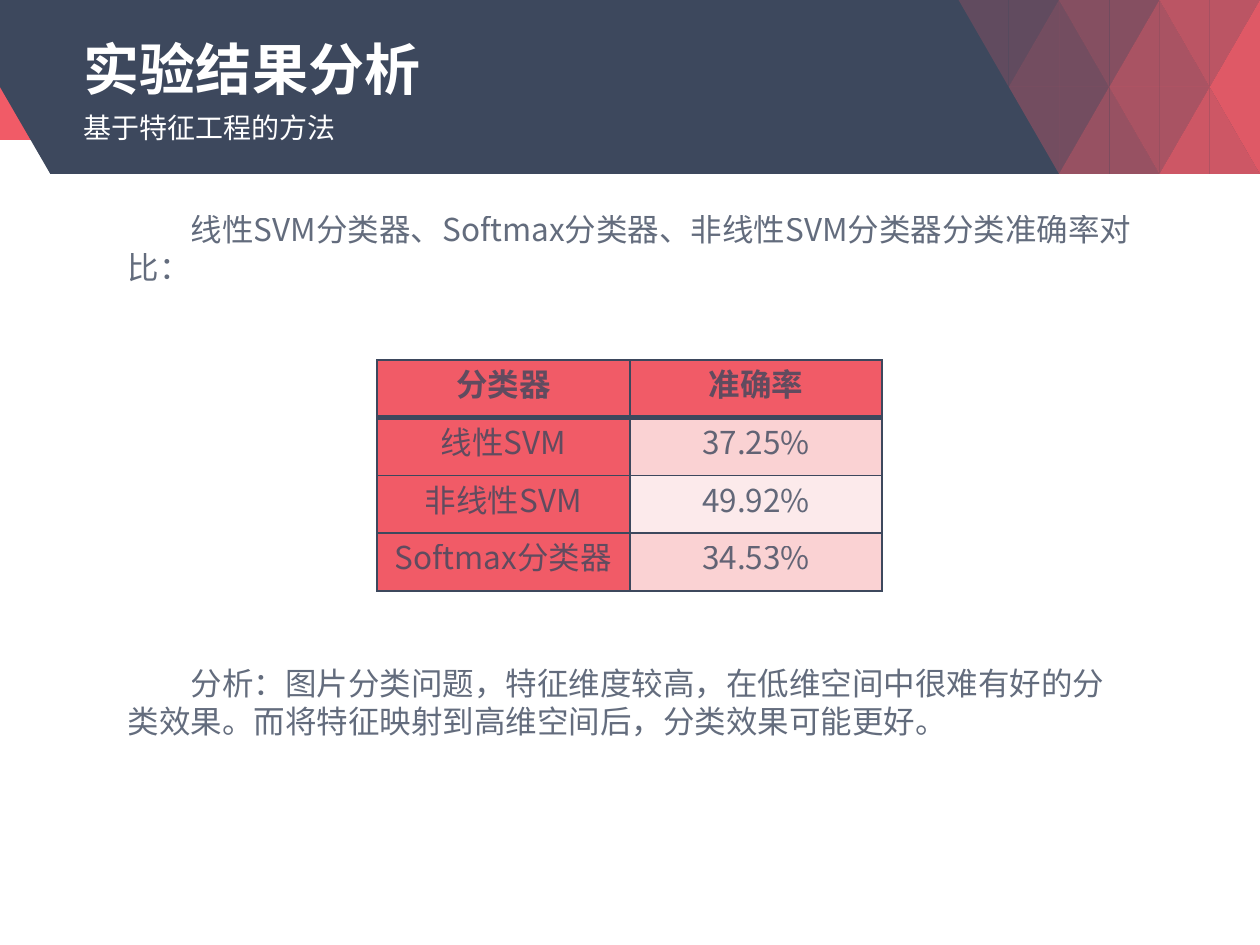
from lxml import etree
from pptx import Presentation
from pptx.dml.color import RGBColor
from pptx.enum.shapes import MSO_SHAPE as Shape
from pptx.enum.text import MSO_ANCHOR as Anchor, PP_ALIGN as Align
from pptx.oxml.ns import qn
from pptx.util import Pt

COLORS = {
    "navy": "3D485D",
    "red": "F15B67",
    "pink": "FAD2D3",
    "pale": "FCEAEB",
    "white": "FFFFFF",
}
TITLE_FONT, BODY_FONT = "Arial", "Noto Sans CJK JP"
WIDTH, HEIGHT = 720, 540
HEADER_HEIGHT = 99.4
TILE_WIDTH, TILE_HEIGHT = 28.7, HEADER_HEIGHT / 2
TILES_LEFT = WIDTH - 6 * TILE_WIDTH

ROWS = [
    ("分类器", "准确率"),
    ("线性SVM", "37.25%"),
    ("非线性SVM", "49.92%"),
    ("Softmax分类器", "34.53%"),
]


def set_fill(fill, color, alpha=None):
    fill.solid()
    fill.fore_color.rgb = RGBColor.from_string(COLORS[color])
    if alpha is not None:
        # The fill's colour element takes the opacity as a child
        for element in fill._xPr.iter(qn("a:srgbClr")):
            etree.SubElement(element, qn("a:alpha"), val=str(alpha * 1000))


def finish_shape(shape, color, alpha=None):
    set_fill(shape.fill, color, alpha)
    shape.line.fill.background()
    shape.shadow.inherit = False


def add_polygon(slide, points, color, alpha=None):
    builder = slide.shapes.build_freeform(*map(Pt, points[0]), scale=1.0)
    builder.add_line_segments([(Pt(x), Pt(y)) for x, y in points[1:]])
    finish_shape(builder.convert_to_shape(), color, alpha)


def format_run(run, font, size, color, bold=False, alpha=None):
    run.font.name = font
    run.font.size = Pt(size)
    run.font.bold = bold
    set_fill(run.font.fill, color, alpha)
    etree.SubElement(run.font._element, qn("a:ea"), typeface=font)


def add_text(slide, box, text, insets=(0, 0), anchor=Anchor.TOP, indent=0,
             line_spacing=None, **style):
    frame = slide.shapes.add_textbox(*map(Pt, box)).text_frame
    frame.word_wrap = True
    frame.vertical_anchor = anchor
    frame.margin_left = frame.margin_right = Pt(insets[0])
    frame.margin_top = frame.margin_bottom = Pt(insets[1])
    frame.text = text
    paragraph = frame.paragraphs[0]
    if line_spacing:
        paragraph.line_spacing = line_spacing
    if indent:
        paragraph._p.get_or_add_pPr().set("indent", str(Pt(indent)))
    format_run(paragraph.runs[0], **style)


def add_body(slide, top, text):
    add_text(slide, (66, top, 588, 51), text, insets=(7.2, 3.6), indent=36,
             font=BODY_FONT, size=18, color="navy", alpha=80)


def set_borders(cell, bottom=1, top=1):
    properties = cell._tc.get_or_add_tcPr()
    widths = {"a:lnL": 1, "a:lnR": 1, "a:lnT": top, "a:lnB": bottom}
    for position, (tag, width) in enumerate(widths.items()):
        line = etree.Element(qn(tag), w=str(Pt(width)))
        fill = etree.SubElement(line, qn("a:solidFill"))
        etree.SubElement(fill, qn("a:srgbClr"), val=COLORS["navy"])
        properties.insert(position, line)


def add_result_table(slide):
    table = slide.shapes.add_table(
        len(ROWS), 2, Pt(215.3), Pt(205.7), Pt(288.7), Pt(132)).table
    table.columns[0].width, table.columns[1].width = Pt(144.7), Pt(144)
    for row, values in enumerate(ROWS):
        table.rows[row].height = Pt(33)
        for column, value in enumerate(values):
            cell = table.cell(row, column)
            cell.margin_left = cell.margin_right = Pt(5)
            cell.margin_top = cell.margin_bottom = 0
            cell.text = value
            paragraph = cell.text_frame.paragraphs[0]
            paragraph.alignment = Align.CENTER
            format_run(paragraph.runs[0], BODY_FONT, 18, "navy",
                       bold=row == 0, alpha=80)
            banded = "pink" if row % 2 else "pale"
            set_fill(cell.fill, "red" if row == 0 or column == 0 else banded)
            set_borders(cell, bottom=3 if row == 0 else 1,
                        top=3 if row == 1 else 1)


def add_tile(slide, corners, alpha):
    points = [(TILES_LEFT + x * TILE_WIDTH, y * TILE_HEIGHT)
              for x, y in corners]
    add_polygon(slide, points, "red", alpha)


def add_tiles(slide):
    # Triangles hanging from the top (0) or standing on the bottom (2)
    for x, edge, alpha in [(1, 0, 20), (3, 0, 40), (3, 2, 50),
                           (5, 0, 70), (5, 2, 80)]:
        for side in (-1, 1):
            add_tile(slide, [(x, 1), (x, edge), (x + side, edge)], alpha)
    # Diamonds in quarters; the last one is cut by the slide edge
    for x, sides, alpha in [(2, (-1, 1), 30), (4, (-1, 1), 60), (6, (-1,), 90)]:
        for side in sides:
            for edge in (0, 2):
                add_tile(slide, [(x, 1), (x, edge), (x + side, 1)], alpha)


def add_header(slide):
    band = slide.shapes.add_shape(Shape.RECTANGLE, 0, 0, Pt(WIDTH), Pt(80))
    finish_shape(band, "red")
    add_polygon(slide, [(WIDTH, 0), (WIDTH, HEADER_HEIGHT),
                        (28.8, HEADER_HEIGHT), (0, TILE_HEIGHT), (0, 0)],
                "navy")
    add_tiles(slide)
    add_text(slide, (48, 13.7, 624, 46.8), "实验结果分析",
             anchor=Anchor.MIDDLE, line_spacing=Pt(42),
             font=TITLE_FONT, size=32, color="white", bold=True)
    add_text(slide, (48, 63.4, 624, 28), "基于特征工程的方法",
             font=TITLE_FONT, size=16, color="white")


def main():
    presentation = Presentation()
    presentation.slide_width, presentation.slide_height = Pt(WIDTH), Pt(HEIGHT)
    slide = presentation.slides.add_slide(presentation.slide_layouts[6])
    add_header(slide)
    # Comparison and analysis
    add_body(slide, 116.6,
             "线性SVM分类器、Softmax分类器、非线性SVM分类器分类准确率对比：")
    add_result_table(slide)
    add_body(slide, 375.8,
             "分析：图片分类问题，特征维度较高，在低维空间中很难有好的分类效果。"
             "而将特征映射到高维空间后，分类效果可能更好。")
    presentation.save("out.pptx")


if __name__ == "__main__":
    main()
